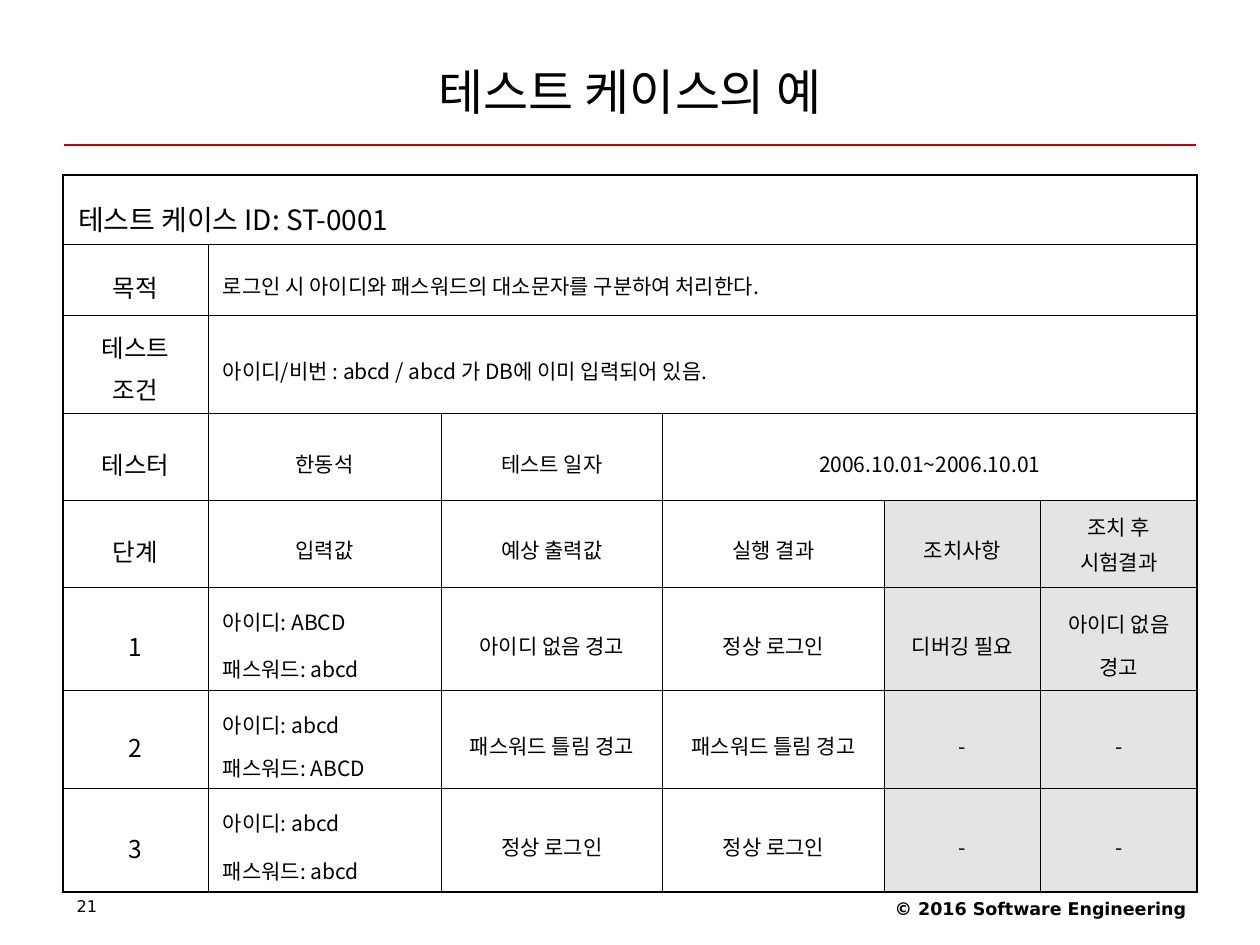
import dataclasses

import lxml.etree
import pptx
import pptx.dml.color
import pptx.enum.shapes
import pptx.enum.text
import pptx.oxml.ns
import pptx.util

ALIGN = pptx.enum.text.PP_ALIGN
MIDDLE = pptx.enum.text.MSO_ANCHOR.MIDDLE
qn = pptx.oxml.ns.qn


@dataclasses.dataclass(frozen=True)
class Theme:
    """Hold the colours, fonts and sizes of the slide."""
    ink: str = "000000"
    rule: str = "C40000"
    paper: str = "FFFFFF"
    shade: str = "E4E4E4"
    font: str = "Noto Sans CJK KR"
    footer_font: str = "DejaVu Sans"
    title: float = 28
    heading: float = 16
    label: float = 14
    body: float = 12
    copyright: float = 10
    number: float = 9.2
    thin: float = 0.45
    thick: float = 1.08


THEME = Theme()
COLUMNS = [115, 185, 176, 176, 124, 124]
ROWS = [55, 56, 78, 69, 69, 82, 78, 82]
CELLS = [
    ["테스트 케이스 ID: ST-0001"],
    ["목적", "로그인 시 아이디와 패스워드의 대소문자를 구분하여 처리한다."],
    ["테스트\v조건", "아이디/비번 : abcd / abcd 가 DB에 이미 입력되어 있음."],
    ["테스터", "한동석", "테스트 일자", "2006.10.01~2006.10.01"],
    ["단계", "입력값", "예상 출력값", "실행 결과", "조치사항", "조치 후\n시험결과"],
    ["1", "아이디: ABCD\n패스워드: abcd", "아이디 없음 경고", "정상 로그인",
     "디버깅 필요", "아이디 없음 경고"],
    ["2", "아이디: abcd\v패스워드: ABCD", "패스워드 틀림 경고", "패스워드 틀림 경고", "-", "-"],
    ["3", "아이디: abcd\n패스워드: abcd", "정상 로그인", "정상 로그인", "-", "-"],
]
LEFT_CELLS = {(0, 0)} | {(r, 1) for r in (1, 2, 5, 6, 7)}
LINE_SPACING = {(2, 0): 1.2, (4, 5): 1.0}


def px(n):
    """Turn px into EMU, at 100 px to the inch."""
    return pptx.util.Emu(n * 9144)


def rgb(value):
    """Return a colour object for a hex value."""
    return pptx.dml.color.RGBColor.from_string(value)


def write(tf, text, size, align, font=THEME.font, bold=False, spacing=1.0, gap=0):
    """Fill a text frame, with a paragraph per newline and a break per tab."""
    for i, block in enumerate(text.split("\n")):
        p = tf.paragraphs[0] if i == 0 else tf.add_paragraph()
        p.alignment = align
        p.line_spacing = spacing
        p.space_before = pptx.util.Pt(gap if i else 0)
        for j, line in enumerate(block.split("\v")):
            if j:
                p.add_line_break()
            r = p.add_run()
            r.text = line
            r.font.size = pptx.util.Pt(size)
            r.font.name = font
            r.font.bold = bold
            r.font.color.rgb = rgb(THEME.ink)
            ea = lxml.etree.SubElement(r.font._element, qn("a:ea"))
            ea.set("typeface", font)


def add_heading(s, x, y, w, h):
    """Place the title and the rule at the foot of its box."""
    title = s.shapes.title
    title.left, title.top, title.width, title.height = map(px, (x, y, w, h))
    title.text_frame.vertical_anchor = MIDDLE
    write(title.text_frame, "테스트 케이스의 예", THEME.title, ALIGN.CENTER)
    rule = s.shapes.add_connector(pptx.enum.shapes.MSO_CONNECTOR.STRAIGHT,
                                  px(x + 1), px(y + h), px(x + w - 1), px(y + h))
    rule.line.color.rgb = rgb(THEME.rule)
    rule.line.width = pptx.util.Pt(0.75)
    lxml.etree.SubElement(rule._element.spPr, qn("a:effectLst"))


def set_borders(cell, widths):
    """Draw the four edges of a cell, given widths by side."""
    tcPr = cell._tc.get_or_add_tcPr()
    for side in "LRTB":
        ln = lxml.etree.SubElement(tcPr, qn("a:ln" + side))
        ln.set("w", str(pptx.util.Pt(widths[side])))
        fill = lxml.etree.SubElement(ln, qn("a:solidFill"))
        lxml.etree.SubElement(fill, qn("a:srgbClr")).set("val", THEME.ink)


def add_cell(table, row, col, text, last):
    """Merge a cell up to its last column, then style and fill it."""
    cell = table.cell(row, col)
    if last > col:
        cell.merge(table.cell(row, last))
    outer = {"L": col == 0, "R": last == len(COLUMNS) - 1,
             "T": row == 0, "B": row == len(ROWS) - 1}
    set_borders(cell, {k: THEME.thick if v else THEME.thin for k, v in outer.items()})
    cell.fill.solid()
    cell.fill.fore_color.rgb = rgb(THEME.shade if row > 3 and col > 3 else THEME.paper)
    cell.vertical_anchor = MIDDLE
    cell.margin_left = cell.margin_right = px(12)
    cell.margin_top = cell.margin_bottom = px(5)
    size = THEME.heading if row == 0 else THEME.label if col == 0 else THEME.body
    write(cell.text_frame, text, size,
          ALIGN.LEFT if (row, col) in LEFT_CELLS else ALIGN.CENTER,
          spacing=LINE_SPACING.get((row, col), 1.4), gap=3)


def add_test_case(s, x, y):
    """Place the test case table with its top left corner at a point."""
    table = s.shapes.add_table(len(ROWS), len(COLUMNS), px(x), px(y),
                               px(sum(COLUMNS)), px(sum(ROWS))).table
    table.first_row = table.horz_banding = False
    for column, width in zip(table.columns, COLUMNS):
        column.width = px(width)
    for row, height in zip(table.rows, ROWS):
        row.height = px(height)
    for row, texts in enumerate(CELLS):
        for col, text in enumerate(texts):
            last = len(COLUMNS) - 1 if col == len(texts) - 1 else col
            add_cell(table, row, col, text, last)


def add_footer(s, x, y, w, h):
    """Place the page number and the copyright line at both ends of a box."""
    parts = [("21", x, 233, THEME.number, ALIGN.LEFT, False, 0.9),
             ("© 2016 Software Engineering", x + w - 317, 317,
              THEME.copyright, ALIGN.RIGHT, True, 1.0)]
    for text, left, width, size, align, bold, spacing in parts:
        tf = s.shapes.add_textbox(px(left), px(y), px(width), px(h)).text_frame
        tf.word_wrap = True
        write(tf, text, size, align, THEME.footer_font, bold, spacing)


def main():
    """Build the slide and save it."""
    prs = pptx.Presentation()
    prs.slide_width, prs.slide_height = px(1000), px(750)
    s = prs.slides.add_slide(prs.slide_layouts[5])
    add_heading(s, 50, 30, 900, 85)
    add_test_case(s, 50, 139)
    add_footer(s, 51, 708, 900, 29)
    prs.save("out.pptx")


if __name__ == "__main__":
    main()
